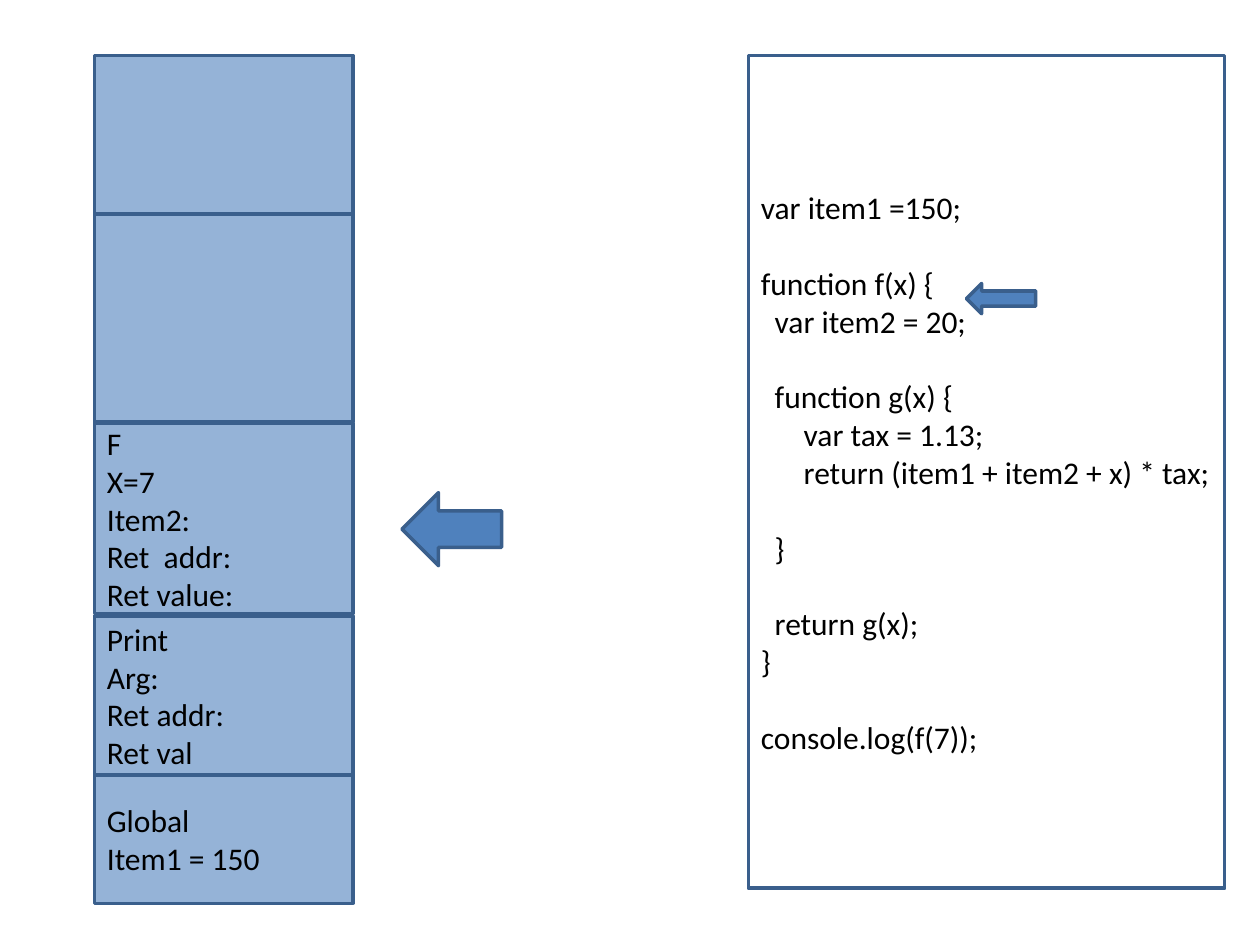
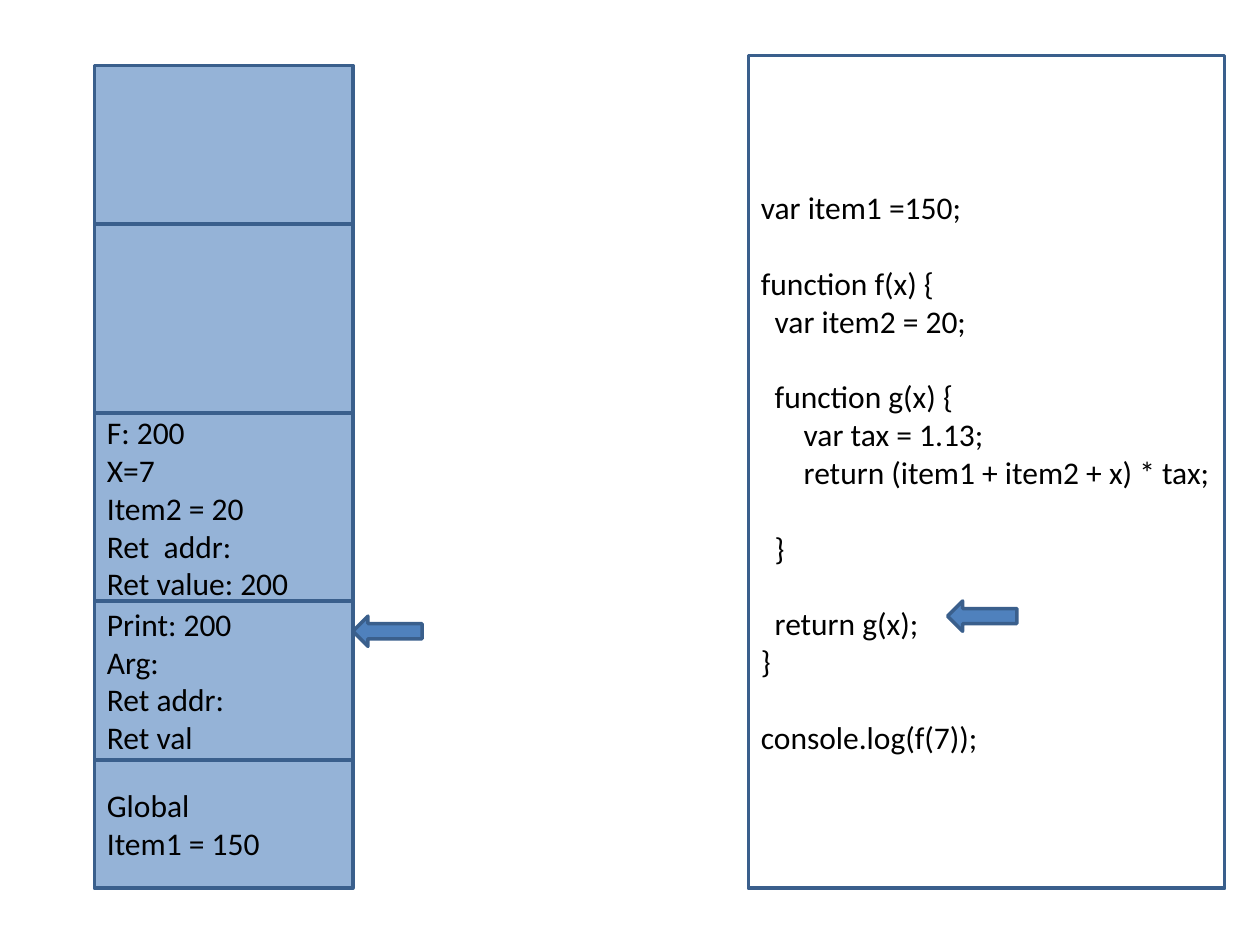
from dataclasses import dataclass

import pptx
import pptx.dml.color
import pptx.enum.shapes
import pptx.enum.text
import pptx.util
from pptx.util import Inches

Shape = pptx.enum.shapes.MSO_SHAPE


@dataclass(frozen=True)
class Theme:
    font: str = "Calibri"
    text_size: float = 18
    line_height: float = 21.6
    line_width: float = 2
    text: str = "000000"
    outline: str = "3A5F8C"
    frame: str = "95B3D7"
    arrow: str = "4F81BD"
    paper: str = "FFFFFF"


@dataclass(frozen=True)
class Area:
    left: float
    top: float
    width: float
    height: float


@dataclass(frozen=True)
class Line:
    text: str
    indent: float = 0
    gap_above: bool = False


@dataclass(frozen=True)
class Frame:
    """One cell of the call stack."""
    top: float
    height: float
    lines: tuple[str, ...] = ()


@dataclass(frozen=True)
class Step:
    """One moment of the run: the stack and the arrows pointing at it."""
    frames: tuple[Frame, ...]
    arrows: tuple[Area, ...]


THEME = Theme()
STACK_LEFT, STACK_WIDTH = 0.75, 2.05
CODE_AREA = Area(5.94, 0.44, 3.78, 6.61)
OUTER, INNER = 0.11, 0.34
SMALL_ARROW = (0.55, 0.24)

CODE = (
    Line("var item1 =150;"),
    Line("function f(x) {", gap_above=True),
    Line("var item2 = 20;", OUTER),
    Line("function g(x) {", OUTER, gap_above=True),
    Line("var tax = 1.13;", INNER),
    Line("return (item1 + item2 + x) * tax;", INNER),
    Line("}", OUTER, gap_above=True),
    Line("return g(x);", OUTER, gap_above=True),
    Line("}"),
    Line("console.log(f(7));", gap_above=True),
)
GLOBAL = ("Global", "Item1 = 150")
PRINT_FIELDS = ("Arg:", "Ret addr:", "Ret val")

STEPS = (
    Step(
        frames=(
            Frame(0.44, 1.26),
            Frame(1.7, 1.65),
            Frame(6.15, 1.02, GLOBAL),
            Frame(3.36, 1.51, ("F", "X=7", "Item2:", "Ret  addr:", "Ret value:")),
            Frame(4.89, 1.26, ("Print", *PRINT_FIELDS)),
        ),
        arrows=(Area(7.67, 2.25, *SMALL_ARROW), Area(3.19, 3.91, 0.79, 0.58)),
    ),
    Step(
        frames=(
            Frame(0.52, 1.26),
            Frame(6.03, 1.02, GLOBAL),
            Frame(3.28, 1.5, ("F: 200", "X=7", "Item2 = 20", "Ret  addr:", "Ret value: 200")),
            Frame(1.78, 1.5),
            Frame(4.77, 1.26, ("Print: 200", *PRINT_FIELDS)),
        ),
        arrows=(Area(7.52, 4.77, *SMALL_ARROW), Area(2.8, 4.89, *SMALL_ARROW)),
    ),
)


def rgb(value: str) -> pptx.dml.color.RGBColor:
    return pptx.dml.color.RGBColor.from_string(value)


def add_box(page, kind: Shape, area: Area, fill: str):
    box = page.shapes.add_shape(
        kind, Inches(area.left), Inches(area.top), Inches(area.width), Inches(area.height)
    )
    box.shadow.inherit = False
    box.fill.solid()
    box.fill.fore_color.rgb = rgb(fill)
    box.line.color.rgb = rgb(THEME.outline)
    box.line.width = pptx.util.Pt(THEME.line_width)
    return box


def write_lines(box, lines: tuple[Line, ...]) -> None:
    frame = box.text_frame
    frame.word_wrap = True
    frame.margin_right = Inches(0.05)
    frame.vertical_anchor = pptx.enum.text.MSO_ANCHOR.MIDDLE
    frame.text = "\n".join(line.text for line in lines)
    for para, line in zip(frame.paragraphs, lines):
        para.alignment = pptx.enum.text.PP_ALIGN.LEFT
        if line.gap_above:
            para.space_before = pptx.util.Pt(THEME.line_height)
        if line.indent:
            para._p.get_or_add_pPr().set("marL", str(Inches(line.indent)))
        for span in para.runs:
            span.font.name = THEME.font
            span.font.size = pptx.util.Pt(THEME.text_size)
            span.font.color.rgb = rgb(THEME.text)


def draw_step(page, step: Step) -> None:
    write_lines(add_box(page, Shape.RECTANGLE, CODE_AREA, THEME.paper), CODE)
    for frame in step.frames:
        area = Area(STACK_LEFT, frame.top, STACK_WIDTH, frame.height)
        box = add_box(page, Shape.RECTANGLE, area, THEME.frame)
        if frame.lines:
            write_lines(box, tuple(Line(text) for text in frame.lines))
    for arrow in step.arrows:
        add_box(page, Shape.LEFT_ARROW, arrow, THEME.arrow)


def main() -> None:
    deck = pptx.Presentation()
    deck.slide_width, deck.slide_height = Inches(10), Inches(7.5)
    for step in STEPS:
        draw_step(deck.slides.add_slide(deck.slide_layouts[6]), step)
    deck.save("out.pptx")


if __name__ == "__main__":
    main()
